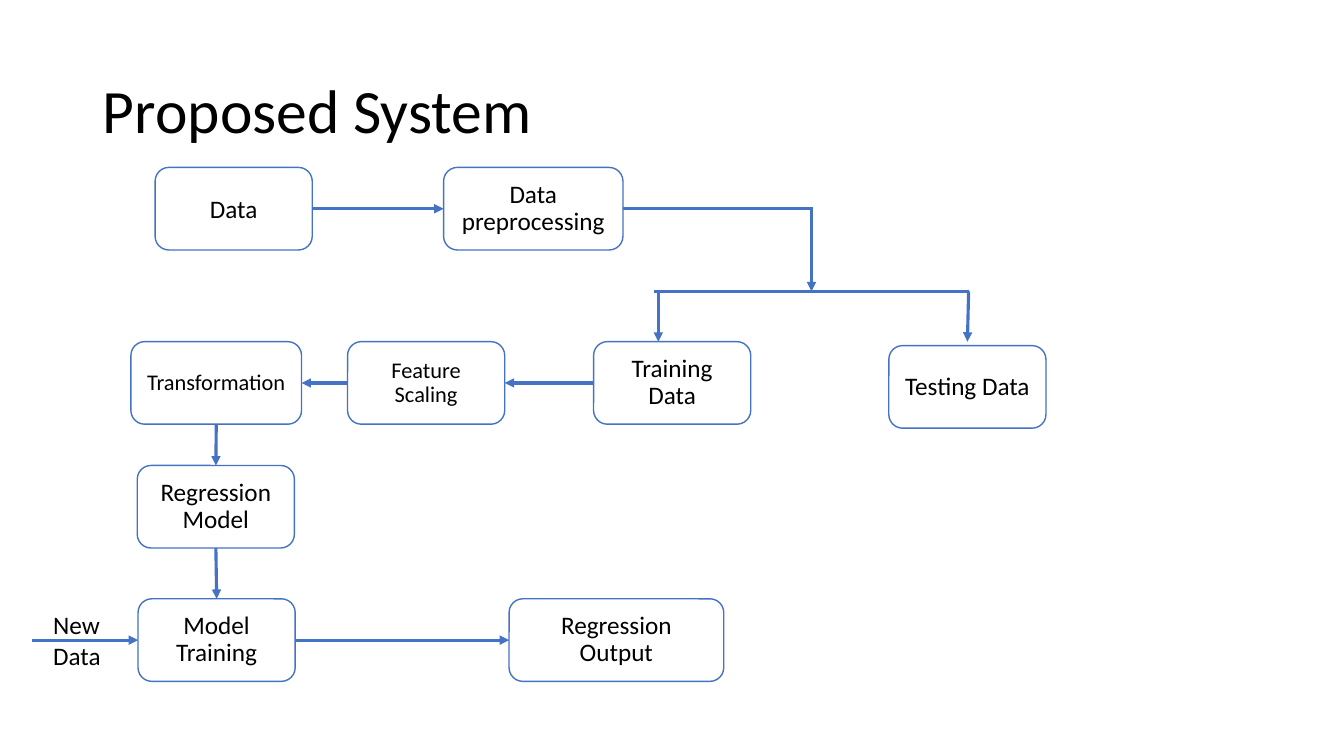
from dataclasses import dataclass
from lxml.etree import SubElement
from pptx import Presentation
from pptx.dml.color import RGBColor
from pptx.enum.shapes import MSO_CONNECTOR, MSO_SHAPE
from pptx.enum.text import MSO_ANCHOR, MSO_AUTO_SIZE, PP_ALIGN
from pptx.oxml.ns import qn
from pptx.util import Cm, Pt


@dataclass(frozen=True)
class Theme:
    font: str = "Calibri"
    ink: RGBColor = RGBColor(0x00, 0x00, 0x00)
    paper: RGBColor = RGBColor(0xFF, 0xFF, 0xFF)
    accent: RGBColor = RGBColor(0x44, 0x72, 0xC4)
    title: int = 44
    body: int = 18
    small: int = 16
    outline: float = 1
    arrow: float = 2.25


theme = Theme()
TITLE = "Proposed System"
NEW_DATA = "New Data"
BOX_W, BOX_H = 3.96, 2.08
TOP, LEFT, BOTTOM, RIGHT = range(4)

STEPS = [
    ("Data", 3.91, 4.22, BOX_W, theme.body),
    ("Data preprocessing", 11.18, 4.22, 4.52, theme.body),
    ("Transformation", 3.3, 8.61, 4.3, theme.small),
    ("Feature Scaling", 8.76, 8.61, BOX_W, theme.small),
    ("Training Data", 14.96, 8.61, BOX_W, theme.body),
    ("Testing Data", 22.4, 8.71, BOX_W, theme.body),
    ("Regression Model", 3.46, 11.73, BOX_W, theme.body),
    ("Model Training", 3.48, 15.09, BOX_W, theme.body),
    ("Regression Output", 12.83, 15.09, 5.41, theme.body),
]

FLOWS = [
    ("Data", RIGHT, "Data preprocessing", LEFT),
    ("Training Data", LEFT, "Feature Scaling", RIGHT),
    ("Feature Scaling", LEFT, "Transformation", RIGHT),
    ("Transformation", BOTTOM, "Regression Model", TOP),
    ("Regression Model", BOTTOM, "Model Training", TOP),
    ("Model Training", RIGHT, "Regression Output", LEFT),
]

SPLIT_Y = 7.34
SPLIT_LINES = [
    ((20.45, 5.23), (20.45, SPLIT_Y), True),
    ((16.48, SPLIT_Y), (24.43, SPLIT_Y), False),
    ((16.59, SPLIT_Y), (16.59, 8.61), True),
    ((24.41, SPLIT_Y), (24.38, 8.61), True),
]


def write(shape, text, size, align=PP_ALIGN.LEFT, anchor=MSO_ANCHOR.MIDDLE):
    tf = shape.text_frame
    tf.word_wrap = True
    tf.vertical_anchor = anchor
    tf.text = text
    p = tf.paragraphs[0]
    p.alignment = align
    font = p.runs[0].font
    font.name, font.size = theme.font, Pt(size)
    font.color.rgb = theme.ink
    return p


def add_step(s, text, x, y, w, size):
    sp = s.shapes.add_shape(MSO_SHAPE.ROUNDED_RECTANGLE, Cm(x), Cm(y), Cm(w), Cm(BOX_H))
    sp.shadow.inherit = False
    sp.fill.solid()
    sp.fill.fore_color.rgb = theme.paper
    sp.line.color.rgb = theme.accent
    sp.line.width = Pt(theme.outline)
    p = write(sp, text, size, PP_ALIGN.CENTER)
    if text != "Data":
        p.line_spacing = 0.9
        p.space_before = Pt(10)
    return sp


def add_line(s, start=(0, 0), end=(0, 0), arrow=True):
    ends = [Cm(v) for v in (*start, *end)]
    cn = s.shapes.add_connector(MSO_CONNECTOR.STRAIGHT, *ends)
    cn.line.color.rgb = theme.accent
    cn.line.width = Pt(theme.arrow)
    if arrow:
        SubElement(cn.line._get_or_add_ln(), qn("a:tailEnd"), type="triangle")
    SubElement(cn._element.spPr, qn("a:effectLst"))
    return cn


def main():
    prs = Presentation()
    prs.slide_width, prs.slide_height = Cm(33.87), Cm(19.05)
    s = prs.slides.add_slide(prs.slide_layouts[5])

    title = s.shapes.title
    title.left, title.top, title.width, title.height = Cm(2.34), Cm(1.02), Cm(29.21), Cm(3.68)
    write(title, TITLE, theme.title).line_spacing = 0.9

    boxes = {step[0]: add_step(s, *step) for step in STEPS}

    for source, out_side, target, in_side in FLOWS:
        cn = add_line(s)
        cn.begin_connect(boxes[source], out_side)
        cn.end_connect(boxes[target], in_side)

    for start, end, arrow in SPLIT_LINES:
        add_line(s, start, end, arrow)
    cn = add_line(s, end=(20.5, 5.26), arrow=False)
    cn.begin_connect(boxes["Data preprocessing"], RIGHT)
    cn = add_line(s, start=(0.81, 16.13))
    cn.end_connect(boxes["Model Training"], LEFT)

    label = s.shapes.add_textbox(Cm(1.09), Cm(15.24), Cm(2.21), Cm(1.8))
    write(label, NEW_DATA, theme.body, anchor=MSO_ANCHOR.TOP)
    label.text_frame.auto_size = MSO_AUTO_SIZE.SHAPE_TO_FIT_TEXT

    prs.save("out.pptx")


if __name__ == "__main__":
    main()
